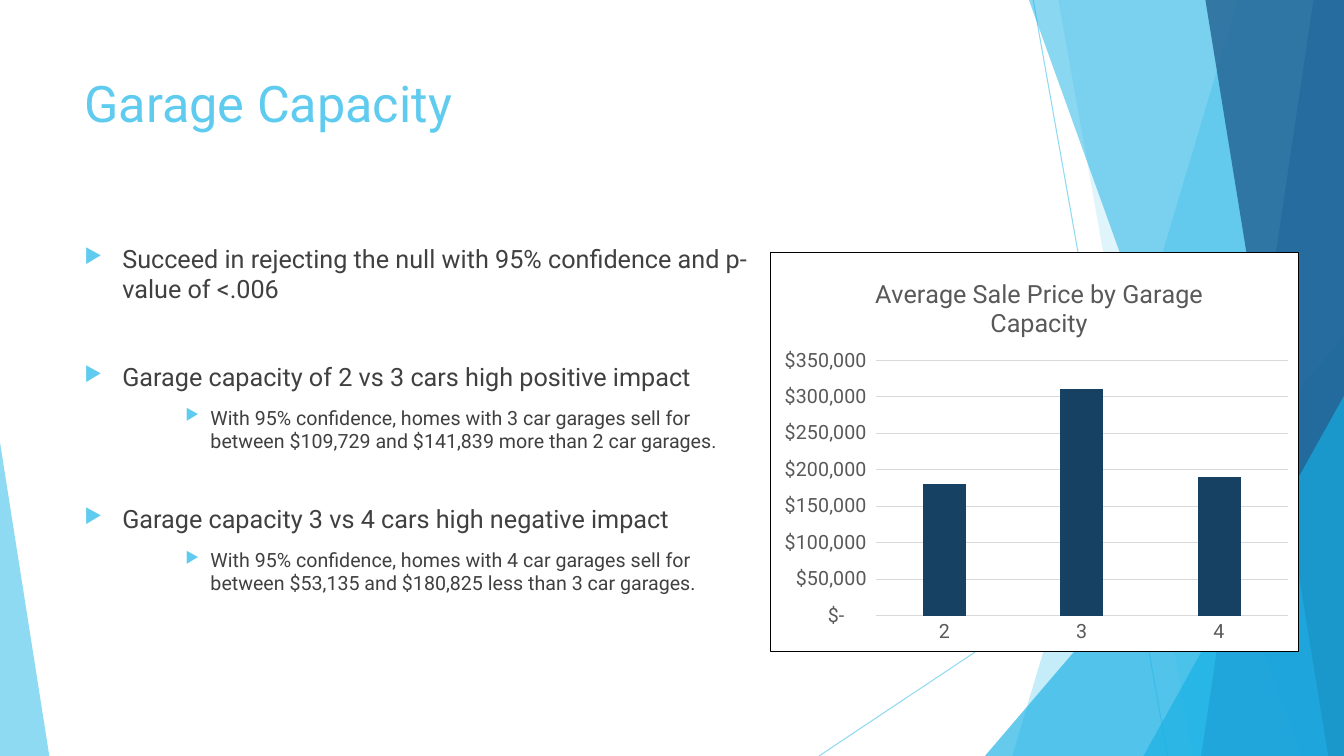
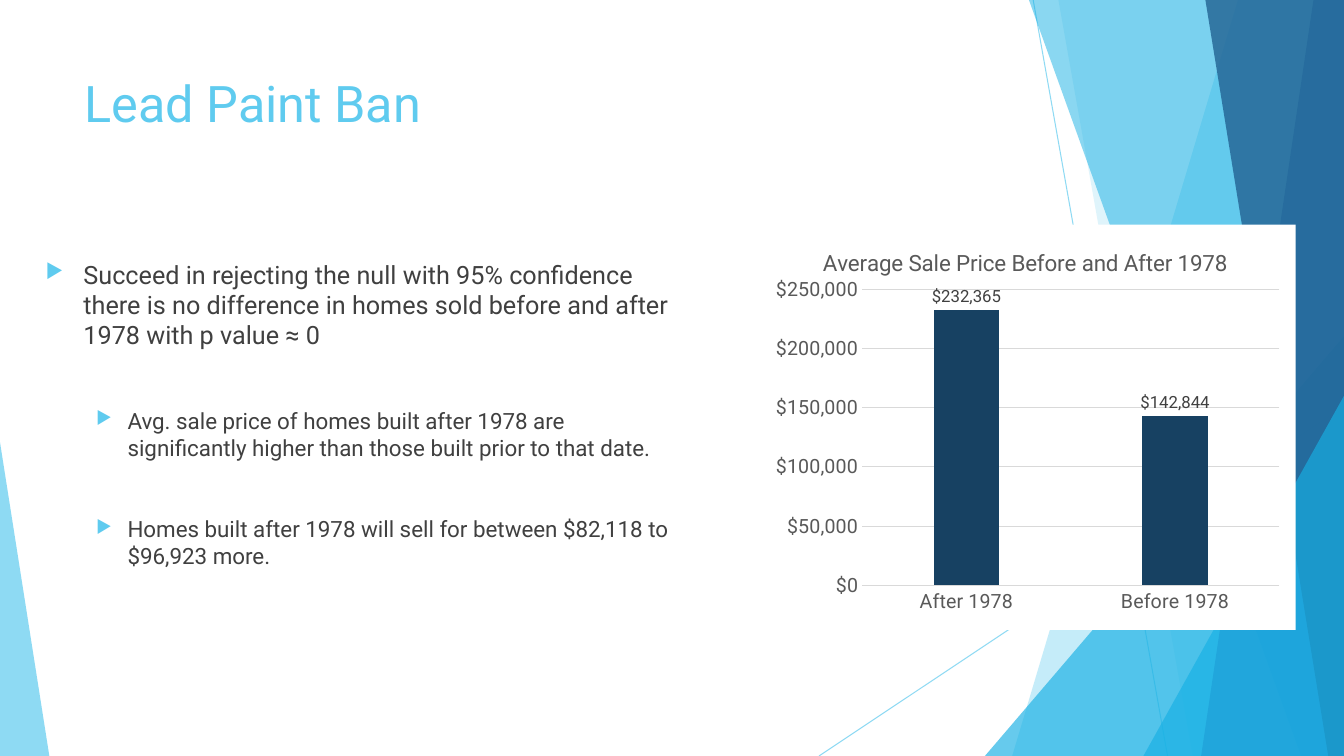
from lxml.etree import SubElement
from pptx import Presentation
from pptx.chart.data import CategoryChartData
from pptx.dml.color import RGBColor
from pptx.enum.chart import XL_CHART_TYPE, XL_LABEL_POSITION, XL_TICK_MARK
from pptx.enum.shapes import MSO_CONNECTOR, MSO_SHAPE
from pptx.enum.text import MSO_ANCHOR
from pptx.oxml.ns import qn
from pptx.util import Pt

EMU_PER_PX = 9525
WIDTH, HEIGHT = 1280, 720


def px(length):
    return length * EMU_PER_PX


def color(value):
    return RGBColor.from_string(value)


def add_element(parent, tag, **attributes):
    return SubElement(parent, qn(tag), attributes)


def set_opacity(shape, percent):
    for fill in shape._element.spPr.iter(qn("a:srgbClr")):
        add_element(fill, "a:alpha", val=str(percent * 1000))


def set_layout(parent, position, **values):
    layout = parent.find(qn("c:layout"))
    if layout is None:
        layout = add_element(parent, "c:layout")
        parent.insert(position, layout)
    manual = add_element(layout, "c:manualLayout")
    for name, value in values.items():
        add_element(manual, f"c:{name}", val=str(value))


class Deck:
    FONT = "Roboto"
    SKY = "5FCBEF"
    CYAN = "17B0E4"
    BLUE = "2E83C3"
    NAVY = "226292"
    BAR = "174162"
    BODY = "404040"
    AXIS = "595959"
    GRID = "D9D9D9"

    def __init__(self):
        self.presentation = Presentation()
        self.presentation.slide_width = px(WIDTH)
        self.presentation.slide_height = px(HEIGHT)
        self.slide = None

    def add_slide(self, title):
        layout = self.presentation.slide_layouts[6]
        self.slide = self.presentation.slides.add_slide(layout)
        self.add_backdrop()
        frame = self.add_text_frame(71, 64, 902, 78)
        self.add_run(frame.paragraphs[0], title, 36, self.SKY)

    def add_backdrop(self):
        self.add_line(984, 0, 1112, HEIGHT)
        self.add_line(WIDTH, 387, 780, HEIGHT)
        self.add_facet(1179, 964, self.SKY, 36)
        self.add_facet(1008, 1136, self.SKY, 20)
        self.add_triangle(938, 320, 342, 1, self.CYAN, 66)
        self.add_facet(980, 1239, self.CYAN, 50)
        self.add_facet(1251, 1144, self.BLUE, 70)
        self.add_facet(1148, 1265, self.NAVY, 80)
        self.add_triangle(1089, 377, 191, 1, self.CYAN, 66)
        self.add_triangle(0, 421, 47, 0, self.SKY, 70)

    def add_line(self, x1, y1, x2, y2):
        line = self.slide.shapes.add_connector(
            MSO_CONNECTOR.STRAIGHT, px(x1), px(y1), px(x2), px(y2))
        line.line.color.rgb = color(self.SKY)
        line.line.width = Pt(0.75)
        set_opacity(line, 70)
        add_element(line._element.spPr, "a:effectLst")

    def add_facet(self, top_x, bottom_x, fill, opacity):
        builder = self.slide.shapes.build_freeform(top_x, 0, EMU_PER_PX)
        builder.add_line_segments(
            [(WIDTH, 0), (WIDTH, HEIGHT), (bottom_x, HEIGHT)], close=True)
        self.paint(builder.convert_to_shape(), fill, opacity)

    def add_triangle(self, left, top, width, apex, fill, opacity):
        shape = self.slide.shapes.add_shape(
            MSO_SHAPE.ISOSCELES_TRIANGLE,
            px(left), px(top), px(width), px(HEIGHT - top))
        shape.adjustments[0] = apex
        self.paint(shape, fill, opacity)

    def paint(self, shape, fill, opacity):
        shape.shadow.inherit = False
        shape.fill.solid()
        shape.fill.fore_color.rgb = color(fill)
        shape.line.fill.background()
        set_opacity(shape, opacity)

    def add_text_frame(self, left, top, width, height):
        box = self.slide.shapes.add_textbox(
            px(left), px(top), px(width), px(height))
        frame = box.text_frame
        frame.word_wrap = True
        frame.vertical_anchor = MSO_ANCHOR.TOP
        return frame

    def style_font(self, font, size, fill):
        font.name = self.FONT
        font.size = Pt(size)
        font.bold = False
        font.color.rgb = color(fill)

    def add_run(self, paragraph, text, size, fill):
        run = paragraph.add_run()
        run.text = text
        self.style_font(run.font, size, fill)

    def add_bullets(self, left, top, width, height, items):
        frame = self.add_text_frame(left, top, width, height)
        for index, (text, size, margin, hanging, before) in enumerate(items):
            paragraph = frame.add_paragraph() if index else frame.paragraphs[0]
            paragraph.space_before = Pt(before)
            properties = paragraph._p.get_or_add_pPr()
            properties.set("marL", str(px(margin)))
            properties.set("indent", str(-px(hanging)))
            bullet_color = add_element(properties, "a:buClr")
            add_element(bullet_color, "a:srgbClr", val=self.SKY)
            add_element(properties, "a:buSzPct", val="80000")
            add_element(properties, "a:buChar", char="▶")
            self.add_run(paragraph, text, size, self.BODY)

    def add_column_chart(self, box, title, title_size, title_place, plot_place,
                         values, number_format, maximum,
                         border=None, labels=False):
        data = CategoryChartData()
        data.categories = list(values)
        data.add_series("Series 1", list(values.values()))
        chart = self.slide.shapes.add_chart(
            XL_CHART_TYPE.COLUMN_CLUSTERED, *map(px, box), data).chart
        chart.has_legend = False
        self.style_font(chart.font, 10, "000000")

        chart.has_title = True
        paragraph = chart.chart_title.text_frame.paragraphs[0]
        self.add_run(paragraph, title, title_size, self.AXIS)
        x, y = title_place
        set_layout(chart.chart_title._element, 1,
                   xMode="edge", yMode="edge", x=x, y=y)
        x, y, width, height = plot_place
        set_layout(chart._chartSpace.chart.plotArea, 0, layoutTarget="inner",
                   xMode="edge", yMode="edge", x=x, y=y, w=width, h=height)

        for axis in (chart.category_axis, chart.value_axis):
            axis.major_tick_mark = XL_TICK_MARK.NONE
            axis.minor_tick_mark = XL_TICK_MARK.NONE
            self.style_font(axis.tick_labels.font, 14, self.AXIS)
        value_axis = chart.value_axis
        value_axis.minimum_scale = 0
        value_axis.maximum_scale = maximum
        value_axis.major_unit = 50000
        value_axis.tick_labels.number_format = number_format
        value_axis.tick_labels.number_format_is_linked = False
        value_axis.format.line.fill.background()
        for line in (chart.category_axis.format.line,
                     value_axis.major_gridlines.format.line):
            line.color.rgb = color(self.GRID)
            line.width = Pt(0.75)

        plot = chart.plots[0]
        plot.gap_width = 219
        plot.overlap = -27
        plot.vary_by_categories = False
        series = plot.series[0]
        series.format.fill.solid()
        series.format.fill.fore_color.rgb = color(self.BAR)
        plot.has_data_labels = labels
        if labels:
            data_labels = plot.data_labels
            data_labels.show_value = True
            data_labels.position = XL_LABEL_POSITION.OUTSIDE_END
            data_labels.number_format = number_format
            data_labels.number_format_is_linked = False
            self.style_font(data_labels.font, 12, self.BODY)
        self.frame_chart(chart, border)

    def frame_chart(self, chart, border):
        space = chart._chartSpace
        properties = add_element(space, "c:spPr")
        space.chart.addnext(properties)
        fill = add_element(properties, "a:solidFill")
        add_element(fill, "a:srgbClr", val="FFFFFF")
        line = add_element(properties, "a:ln", w=str(px(1)))
        if border:
            fill = add_element(line, "a:solidFill")
            add_element(fill, "a:srgbClr", val=border)
        else:
            add_element(line, "a:noFill")


def add_garage_slide(deck):
    deck.add_slide("Garage Capacity")
    deck.add_bullets(71, 227, 661, 407, [
        ("Succeed in rejecting the null with 95% confidence and p-value of "
         "<.006", 18, 36, 36, 10),
        ("Garage capacity of 2 vs 3 cars high positive impact",
         18, 36, 36, 41),
        ("With 95% confidence, homes with 3 car garages sell for between "
         "$109,729 and $141,839 more than 2 car garages.", 14, 120, 24, 10),
        ("Garage capacity 3 vs 4 cars high negative impact",
         18, 36, 36, 36.5),
        ("With 95% confidence, homes with 4 car garages sell for between "
         "$53,135 and $180,825 less than 3 car garages.", 14, 120, 24, 10),
    ])
    deck.add_column_chart(
        (733, 240, 504, 381), "Average Sale Price by Garage Capacity", 18,
        (0.19, 0.05), (0.2, 0.27, 0.78, 0.64),
        {"2": 180000, "3": 310000, "4": 190000},
        '_("$"* #,##0_);_("$"* \\(#,##0\\);_("$"* "-"??_);_(@_)', 350000,
        border="000000")


def add_paint_slide(deck):
    deck.add_slide("Lead Paint Ban")
    deck.add_bullets(34, 242, 627, 447, [
        ("Succeed in rejecting the null with 95% confidence there is no "
         "difference in homes sold before and after 1978 with p value ≈ 0",
         18, 36, 36, 10),
        ("Avg. sale price of homes built after 1978 are significantly higher "
         "than those built prior to that date.", 16, 78, 30, 41),
        ("Homes built after 1978 will sell for between $82,118 to $96,923 "
         "more.", 16, 78, 30, 39),
    ])
    deck.add_column_chart(
        (718, 214, 516, 386), "Average Sale Price Before and After 1978", 16,
        (0.12, 0.05), (0.2, 0.16, 0.77, 0.73),
        {"After 1978": 232365, "Before 1978": 142844},
        '"$"#,##0', 250000, labels=True)


def main():
    deck = Deck()
    add_garage_slide(deck)
    add_paint_slide(deck)
    deck.presentation.save("out.pptx")


if __name__ == "__main__":
    main()
